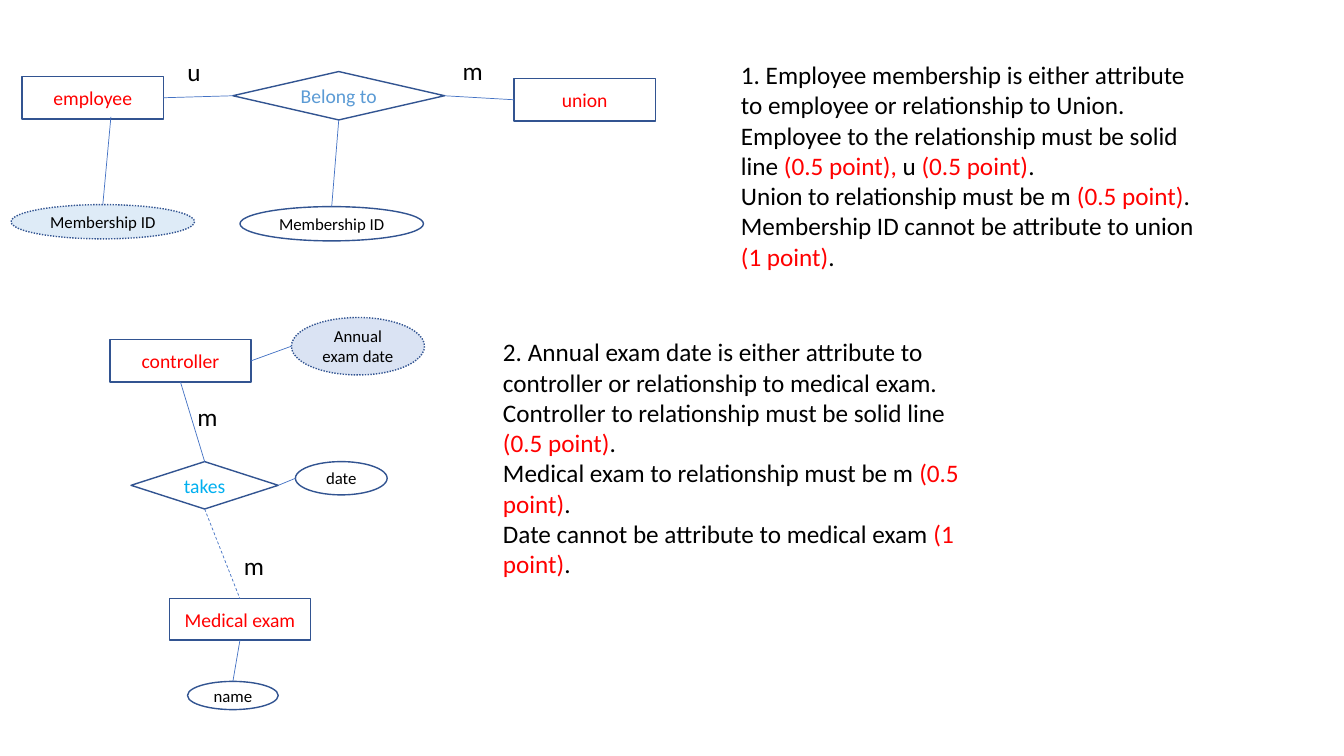
"""Builds the grading slide with two entity-relationship diagrams and their notes."""
from lxml import etree
from pptx import Presentation
from pptx import util as u
from pptx.dml.color import RGBColor
from pptx.enum import dml, shapes, text
from pptx.oxml.ns import qn

BLACK = RGBColor(0x00, 0x00, 0x00)
WHITE = RGBColor(0xFF, 0xFF, 0xFF)
RED = RGBColor(0xFF, 0x00, 0x00)
BLUE = RGBColor(0x5B, 0x9B, 0xD5)
CYAN = RGBColor(0x00, 0xB0, 0xF0)
OUTLINE = RGBColor(0x32, 0x54, 0x91)
LINK = RGBColor(0x44, 0x72, 0xC4)
PALE_BLUE = RGBColor(0xDE, 0xEB, 0xF7)
PALE_INDIGO = RGBColor(0xDA, 0xE3, 0xF3)

ENTITY = shapes.MSO_SHAPE.RECTANGLE
RELATION = shapes.MSO_SHAPE.DIAMOND
ATTRIBUTE = shapes.MSO_SHAPE.OVAL
TOP, LEFT, BOTTOM, RIGHT = range(4)

deck = Presentation()
deck.slide_width, deck.slide_height = u.Inches(13.33), u.Inches(7.5)
slide = deck.slides.add_slide(deck.slide_layouts[6])


def style(paragraph, size):
    paragraph.font.name = "Calibri"
    paragraph.font.size = u.Pt(size)


def add_text(left, top, width, height, paragraphs, wrap=True):
    """Each paragraph is a list of segments that alternate black and red."""
    frame = slide.shapes.add_textbox(*map(u.Inches, (left, top, width, height))).text_frame
    frame.word_wrap = wrap
    frame.auto_size = text.MSO_AUTO_SIZE.SHAPE_TO_FIT_TEXT
    for index, segments in enumerate(paragraphs):
        paragraph = frame.add_paragraph() if index else frame.paragraphs[0]
        style(paragraph, 18)
        for position, segment in enumerate(segments):
            run = paragraph.add_run()
            run.text = segment
            run.font.color.rgb = RED if position % 2 else BLACK


nodes = {}
for key, kind, label, left, top, width, height, fill, color in [
    ("employee", ENTITY, "employee", 0.22, 0.76, 1.4, 0.42, WHITE, RED),
    ("union", ENTITY, "union", 5.1, 0.78, 1.4, 0.42, WHITE, RED),
    ("belong", RELATION, "Belong to", 2.31, 0.71, 2.1, 0.48, None, BLUE),
    ("relation id", ATTRIBUTE, "Membership ID", 2.38, 2.05, 1.82, 0.34, None, BLACK),
    ("employee id", ATTRIBUTE, "Membership ID", 0.11, 2.03, 1.82, 0.34, PALE_BLUE, BLACK),
    ("controller", ENTITY, "controller", 1.09, 3.37, 1.4, 0.42, WHITE, RED),
    ("exam", ENTITY, "Medical exam", 1.68, 5.94, 1.4, 0.41, WHITE, RED),
    ("takes", RELATION, "takes", 1.3, 4.58, 1.46, 0.47, None, CYAN),
    ("date", ATTRIBUTE, "date", 2.93, 4.58, 0.91, 0.33, None, BLACK),
    ("name", ATTRIBUTE, "name", 1.86, 6.76, 0.9, 0.28, None, BLACK),
    ("annual date", ATTRIBUTE, "Annual exam date", 2.89, 3.15, 1.32, 0.57, PALE_INDIGO, BLACK),
]:
    node = slide.shapes.add_shape(kind, *map(u.Inches, (left, top, width, height)))
    node.shadow.inherit = False
    node.line.color.rgb = OUTLINE
    node.line.width = u.Pt(1)
    if fill is None:
        node.fill.background()
    else:
        node.fill.solid()
        node.fill.fore_color.rgb = fill
    if kind == ATTRIBUTE and fill is not None:
        node.line.dash_style = dml.MSO_LINE.ROUND_DOT
    node.text_frame.word_wrap = True
    node.text_frame.vertical_anchor = text.MSO_ANCHOR.MIDDLE
    paragraph = node.text_frame.paragraphs[0]
    paragraph.text = label
    paragraph.alignment = text.PP_ALIGN.CENTER
    style(paragraph, 12 if kind == ATTRIBUTE else 14)
    paragraph.font.color.rgb = color
    nodes[key] = node

for origin, start_site, target, end_site, dashed in [
    ("union", LEFT, "belong", RIGHT, False),
    ("belong", LEFT, "employee", RIGHT, False),
    ("belong", BOTTOM, "relation id", TOP, False),
    ("controller", BOTTOM, "takes", TOP, False),
    ("takes", BOTTOM, "exam", TOP, True),
    ("exam", BOTTOM, "name", TOP, False),
    ("takes", RIGHT, "date", None, False),
    ("controller", RIGHT, "annual date", None, False),
    ("employee", None, "employee id", TOP, False),
]:
    start, end = nodes[origin], nodes[target]
    link = slide.shapes.add_connector(
        shapes.MSO_CONNECTOR.STRAIGHT,
        u.Inches(1.1), u.Inches(1.16),
        end.left, end.top + end.height // 2)
    if start_site is not None:
        link.begin_connect(start, start_site)
    if end_site is not None:
        link.end_connect(end, end_site)
    link.line.color.rgb = LINK
    link.line.width = u.Pt(0.5)
    if dashed:
        link.line.dash_style = dml.MSO_LINE.DASH
    etree.SubElement(link.element.spPr, qn("a:effectLst"))

for cardinality, left, top in [
    ("u", 1.76, 0.51), ("m", 4.49, 0.5), ("m", 1.86, 3.93), ("m", 2.32, 5.41),
]:
    add_text(left, top, 0.4, 0.4, [[cardinality]], wrap=False)

add_text(7.25, 0.54, 4.82, 2.22, [
    ["1. Employee membership is either attribute to employee or relationship to Union. "
     "Employee to the relationship must be solid line ",
     "(0.5 point),", " u ", "(0.5 point)", ". "],
    ["Union to relationship must be m ", "(0.5 point)", ". "],
    ["Membership ID cannot be attribute to union ", "(1 point)", ". "],
])
add_text(4.89, 3.29, 4.82, 2.52, [
    ["2. Annual exam date is either attribute to controller or relationship to medical exam."],
    ["Controller to relationship must be solid line ", "(0.5 point)", ". "],
    ["Medical exam to relationship must be m ", "(0.5 point)", ". "],
    ["Date cannot be attribute to medical exam ", "(1 point)", ". "],
])

deck.save("out.pptx")
